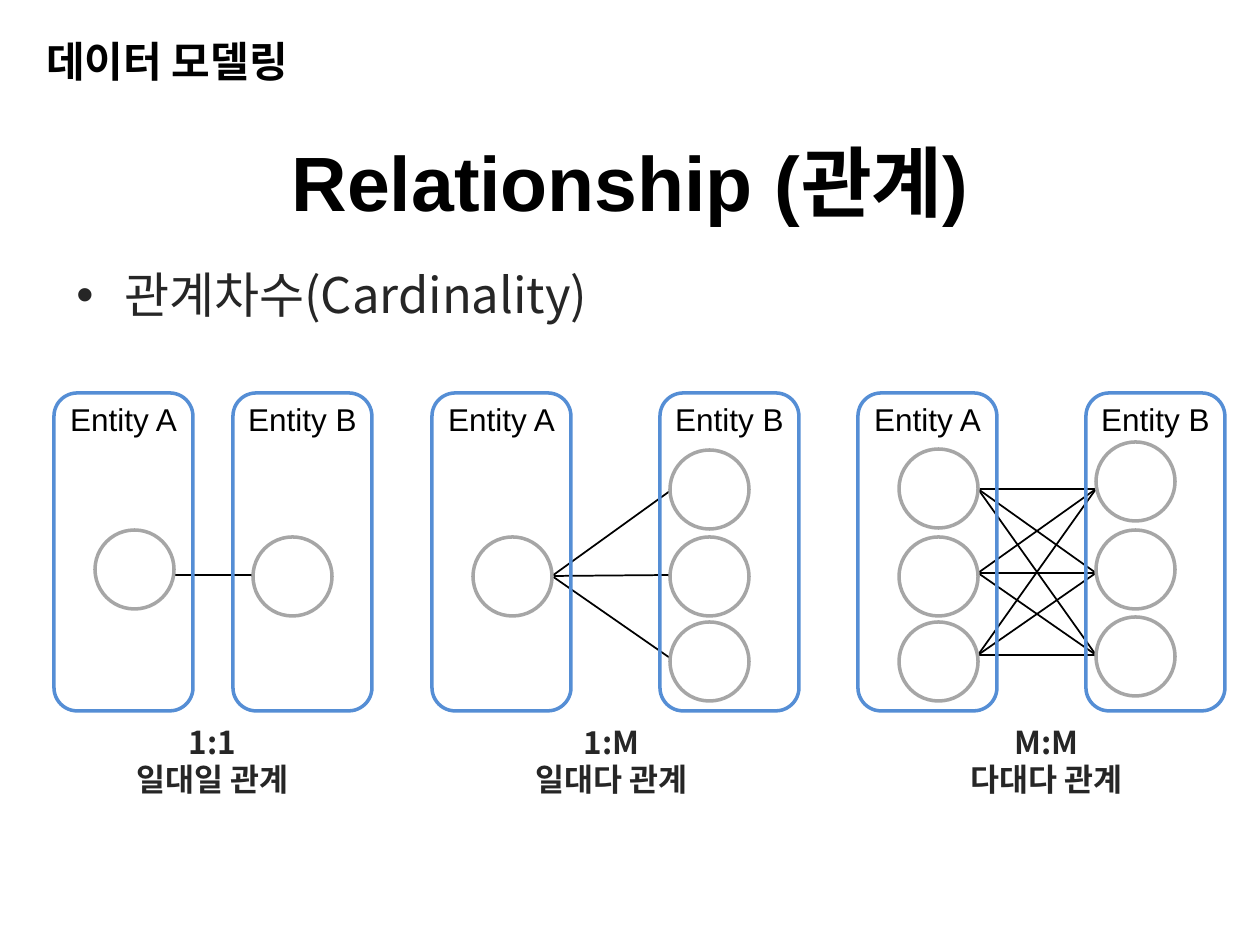
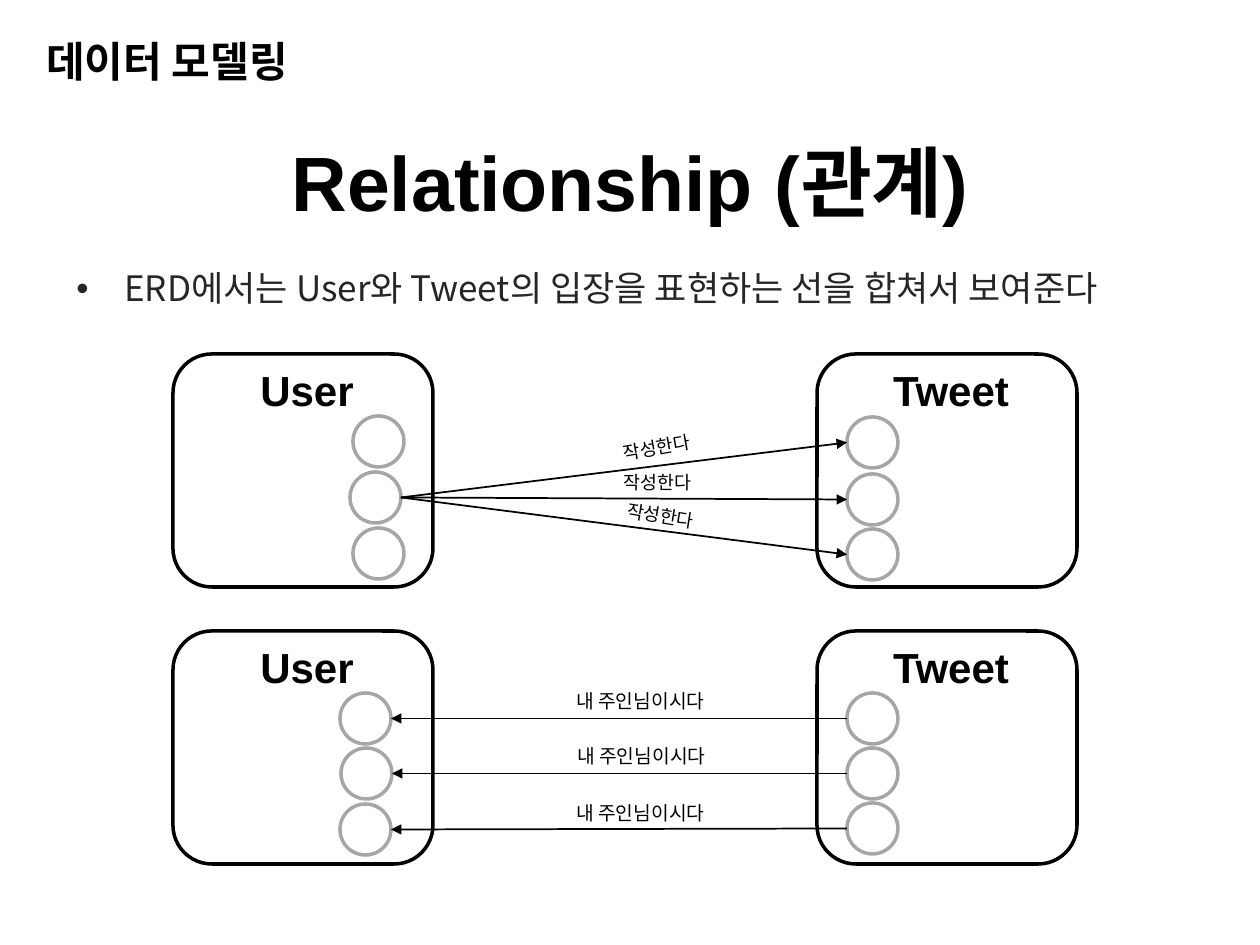
from lxml.etree import SubElement
from pptx import Presentation
from pptx.dml.color import RGBColor
from pptx.enum.shapes import MSO_CONNECTOR as Link, MSO_SHAPE as Preset
from pptx.enum.text import MSO_ANCHOR as Anchor, MSO_AUTO_SIZE as Fit, PP_ALIGN as Align
from pptx.oxml.ns import qn
from pptx.util import Emu, Pt

BLACK = RGBColor(0x00, 0x00, 0x00)
CHARCOAL = RGBColor(0x26, 0x26, 0x26)
GRAY = RGBColor(0xA6, 0xA6, 0xA6)
BLUE = RGBColor(0x55, 0x8E, 0xD5)
LATIN = "Arial"
KOREAN = "Noto Sans CJK KR"
PX_PER_INCH = 126
TITLE_ONLY = 5

ENTITY_SIZE = (139, 318)
INSTANCE = 79
CARDINALITIES = [
    dict(box=(54, 393), gap=179, caption=("1:1", "일대일 관계"), caption_x=20,
         a_tops=[137], b_tops=[144], b_inset=20, a_ends=[182], b_ends=[182]),
    dict(box=(432, 393), gap=228, caption=("1:M", "일대다 관계"), caption_x=41,
         a_tops=[144], b_tops=[57, 144, 229], b_inset=10,
         a_ends=[183], b_ends=[98, 182, 265]),
    dict(box=(858, 393), gap=228, caption=("M:M", "다대다 관계"), caption_x=50,
         a_tops=[56, 144, 229], b_tops=[49, 137, 224], b_inset=10,
         a_ends=[96, 180, 262], b_ends=[96, 180, 262]),
]

TABLE_SIZE = (260, 233)
RECORD = 51
TWEET_GAP = 644
WRITES = dict(
    box=(173, 354), users=[(180, 62), (177, 118), (180, 174)],
    tweets=[(30, 63), (30, 120), (30, 175)],
    arrows=[("user", 1, 0), ("user", 1, 1), ("user", 1, 2)],
    verb="작성한다", verb_size=10.5,
    verb_spots=[(384, 76, 350), (385, 111, 0), (388, 144, 9.2)])
BELONGS = dict(
    box=(173, 631), users=[(167, 62), (168, 117), (167, 173)],
    tweets=[(30, 62), (30, 117), (30, 172)],
    arrows=[("tweet", 0, 0), ("tweet", 1, 1), ("tweet", 2, 2)],
    verb="내 주인님이시다", verb_size=11,
    verb_spots=[(368, 52, 0), (369, 107, 0), (368, 164, 0)])


def px(length):
    return Emu(round(length * 914400 / PX_PER_INCH))


def write(frame, *lines, size, font=LATIN, color=BLACK, bold=False,
          align=Align.LEFT, spacing=None, bullet=False, anchor=Anchor.TOP):
    frame.word_wrap = True
    frame.auto_size = Fit.NONE
    frame.vertical_anchor = anchor
    for index, line in enumerate(lines):
        paragraph = frame.add_paragraph() if index else frame.paragraphs[0]
        paragraph.alignment = align
        if spacing:
            paragraph.line_spacing = spacing
        if index:
            paragraph.space_before = Pt(2)
        if bullet:
            props = paragraph._p.get_or_add_pPr()
            props.set("marL", str(px(48)))
            props.set("indent", str(-px(48)))
            SubElement(props, qn("a:buFont"), typeface=LATIN)
            SubElement(props, qn("a:buChar"), char="•")
        run = paragraph.add_run()
        run.text = line
        run.font.size = Pt(size)
        run.font.bold = bold
        run.font.color.rgb = color
        run.font.name = font
        SubElement(run._r.get_or_add_rPr(), qn("a:ea"), typeface=KOREAN)


def label(slide, x, y, width, height, *lines, rotation=0, **style):
    box = slide.shapes.add_textbox(px(x), px(y), px(width), px(height))
    box.rotation = rotation
    write(box.text_frame, *lines, **style)


def outline(slide, preset, x, y, width, height, color):
    shape = slide.shapes.add_shape(preset, px(x), px(y), px(width), px(height))
    shape.shadow.inherit = False
    shape.fill.background()
    shape.line.color.rgb = color
    shape.line.width = Pt(2)


def circle(slide, x, y, diameter):
    outline(slide, Preset.OVAL, x, y, diameter, diameter, GRAY)


def link(slide, start, end, arrow=False):
    line = slide.shapes.add_connector(Link.STRAIGHT, *map(px, start + end))
    line.line.color.rgb = BLACK
    line.line.width = Pt(1)
    if arrow:
        SubElement(line.line._get_or_add_ln(), qn("a:tailEnd"), type="triangle")
    SubElement(line._element.spPr, qn("a:effectLst"))


def start_slide(deck, bullet, bullet_size):
    slide = deck.slides.add_slide(deck.slide_layouts[TITLE_ONLY])
    title = slide.shapes.title
    title.left, title.top, title.width, title.height = map(px, (0, 106, 1260, 149))
    write(title.text_frame, "Relationship (관계)", size=44, bold=True,
          align=Align.CENTER, anchor=Anchor.MIDDLE)
    label(slide, 34, 35, 576, 69, "데이터 모델링", size=24, bold=True, spacing=0.9)
    label(slide, 64, 265, 1131, 79, bullet, size=bullet_size, font=KOREAN,
          color=CHARCOAL, spacing=0.9, bullet=True)
    return slide


def cardinality_panel(slide, box, gap, caption, caption_x, a_tops, b_tops,
                      b_inset, a_ends, b_ends):
    left, top = box
    a_left, b_left = left + 41, left + gap + b_inset
    for a_end in a_ends:
        for b_end in b_ends:
            link(slide, (a_left + INSTANCE, top + a_end), (b_left, top + b_end))
    entities = [("Entity A", left, a_left, a_tops),
                ("Entity B", left + gap, b_left, b_tops)]
    for name, x, instance_x, instance_tops in entities:
        for instance_top in instance_tops:
            circle(slide, instance_x, top + instance_top, INSTANCE)
        outline(slide, Preset.ROUNDED_RECTANGLE, x, top, *ENTITY_SIZE, BLUE)
        label(slide, x, top + 1, ENTITY_SIZE[0], 50, name, size=18, align=Align.CENTER)
    label(slide, left + caption_x, top + 328, 277, 89, *caption, size=18, font=KOREAN,
          color=CHARCOAL, bold=True, align=Align.CENTER, spacing=0.9)


def table_panel(slide, box, users, tweets, arrows, verb, verb_size, verb_spots):
    left, top = box
    tweet_left = left + TWEET_GAP
    for name, x, records in (("User", left, users), ("Tweet", tweet_left, tweets)):
        outline(slide, Preset.ROUNDED_RECTANGLE, x, top, *TABLE_SIZE, BLACK)
        label(slide, x + 30, top + 4, 208, 63, name, size=24, bold=True,
              align=Align.CENTER)
        for record_x, record_y in records:
            circle(slide, x + record_x, top + record_y, RECORD)
    radius = RECORD / 2
    user_ends = [(left + x + RECORD, top + y + radius) for x, y in users]
    tweet_ends = [(tweet_left + x, top + y + radius) for x, y in tweets]
    for source, user, tweet in arrows:
        ends = [user_ends[user], tweet_ends[tweet]]
        if source == "tweet":
            ends.reverse()
        link(slide, *ends, arrow=True)
    for x, y, rotation in verb_spots:
        label(slide, left + x, top + y, 199, 36, verb, size=verb_size,
              align=Align.CENTER, rotation=rotation)


def cardinality_slide(deck):
    slide = start_slide(deck, "관계차수(Cardinality)", 28)
    for panel in CARDINALITIES:
        cardinality_panel(slide, **panel)


def erd_slide(deck):
    slide = start_slide(
        deck, "ERD에서는 User와 Tweet의 입장을 표현하는 선을 합쳐서 보여준다", 20)
    for panel in (WRITES, BELONGS):
        table_panel(slide, **panel)


def main():
    deck = Presentation()
    deck.slide_width, deck.slide_height = px(1260), px(945)
    cardinality_slide(deck)
    erd_slide(deck)
    deck.save("out.pptx")


if __name__ == "__main__":
    main()
